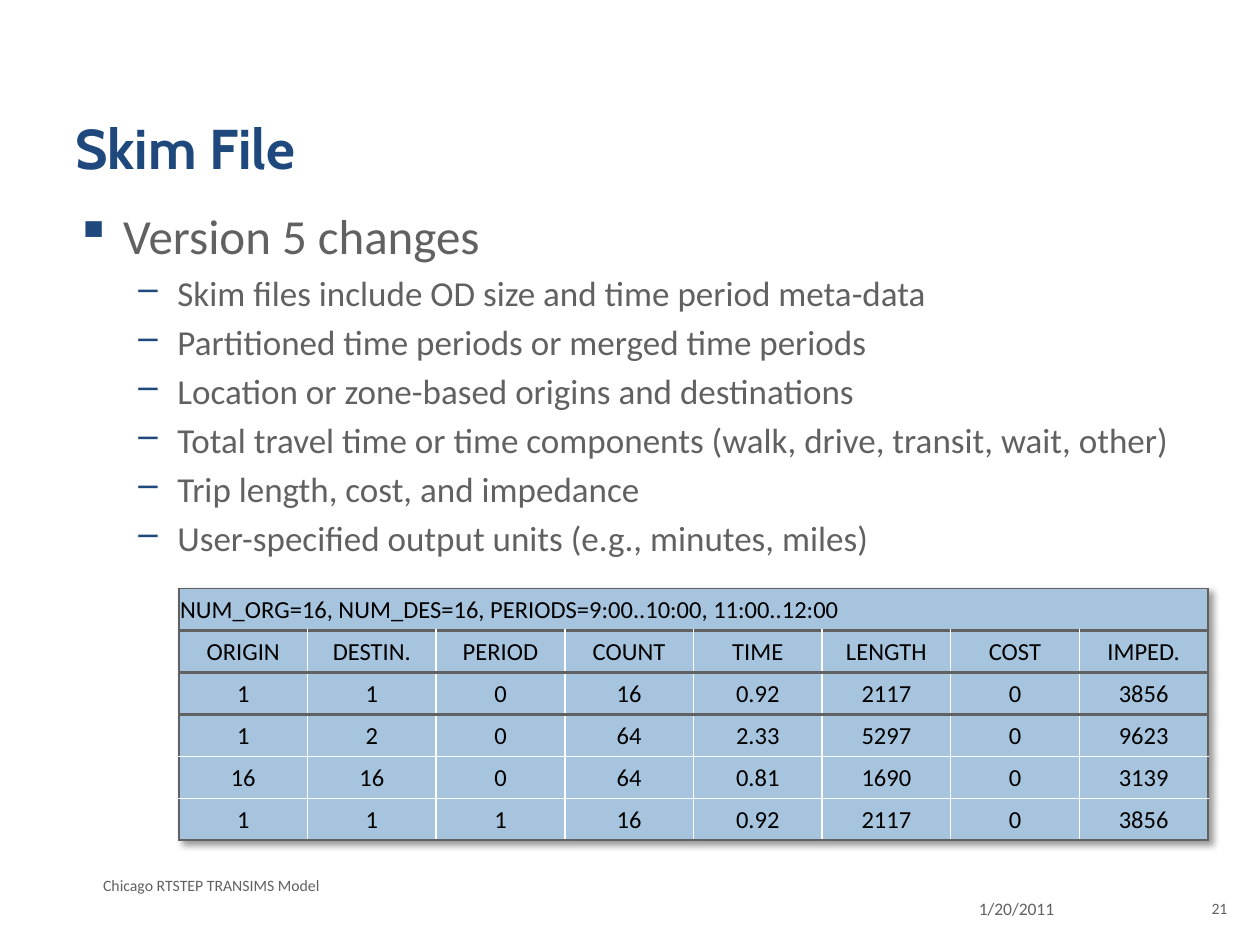
from lxml import etree
from pptx import Presentation
from pptx.dml.color import RGBColor
from pptx.enum.text import MSO_ANCHOR, PP_ALIGN
from pptx.oxml.ns import qn
from pptx.util import Inches, Pt

LEFT, CENTER, RIGHT = PP_ALIGN.LEFT, PP_ALIGN.CENTER, PP_ALIGN.RIGHT
MIDDLE = MSO_ANCHOR.MIDDLE
NAVY, GRAY, BLACK, WHITE, BLUE = "1F497D", "616161", "000000", "FFFFFF", "A6C4DE"

deck = Presentation()
deck.slide_width, deck.slide_height = Inches(10), Inches(7.5)
page = deck.slides.add_slide(deck.slide_layouts[6])


def style(para, size, color, font="Calibri", align=LEFT):
    para.font.name = font
    para.font.size = Pt(size)
    para.font.color.rgb = RGBColor.from_string(color)
    para.alignment = align


def add_box(left, top, width, height):
    box = page.shapes.add_textbox(Inches(left), Inches(top), Inches(width), Inches(height))
    box.text_frame.word_wrap = True
    return box.text_frame


# Title
title = add_box(0.5, 0.3, 9, 1.25)
title.vertical_anchor = MIDDLE
title.margin_top = Inches(0.54)
title.text = "Skim File"
style(title.paragraphs[0], 32, NAVY, "Cabin")
title.paragraphs[0].font.bold = True

# Bulleted body: level, text
points = [
    (0, "Version 5 changes"),
    (1, "Skim files include OD size and time period meta-data"),
    (1, "Partitioned time periods or merged time periods"),
    (1, "Location or zone-based origins and destinations"),
    (1, "Total travel time or time components (walk, drive, transit, wait, other)"),
    (1, "Trip length, cost, and impedance"),
    (1, "User-specified output units (e.g., minutes, miles)"),
]
# Bullet, text size, left margin and hanging indent of each level
levels = [("▪", 28, 0.38, 0.38), ("–", 20, 0.81, 0.31)]
body = add_box(0.5, 1.58, 9, 5.12)
for index, (level, text) in enumerate(points):
    bullet, size, margin, hang = levels[level]
    para = body.add_paragraph() if index else body.paragraphs[0]
    para.text = text
    para.level = level
    if index:
        para.space_before = Pt(size * 0.2)
    props = para._p.get_or_add_pPr()
    props.set("marL", str(Inches(margin)))
    props.set("indent", str(-Inches(hang)))
    bullet_color = etree.SubElement(props, qn("a:buClr"))
    etree.SubElement(bullet_color, qn("a:srgbClr"), val=NAVY)
    etree.SubElement(props, qn("a:buChar"), char=bullet)
    style(para, size, GRAY)

# Footer: place, text, size, alignment
footers = [
    ((7.67, 7.08, 1.5, 0.33), "1/20/2011", 10, LEFT),
    ((0.72, 6.9, 6.5, 0.25), "Chicago RTSTEP TRANSIMS Model", 9, LEFT),
    ((9.42, 7.08, 0.42, 0.32), "21", 9, RIGHT),
]
for place, text, size, align in footers:
    footer = add_box(*place)
    footer.text = text
    style(footer.paragraphs[0], size, GRAY, align=align)

# Skim table
rows = [
    ["NUM_ORG=16, NUM_DES=16, PERIODS=9:00..10:00, 11:00..12:00"] + [""] * 7,
    ["ORIGIN", "DESTIN.", "PERIOD", "COUNT", "TIME", "LENGTH", "COST", "IMPED."],
    ["1", "1", "0", "16", "0.92", "2117", "0", "3856"],
    ["1", "2", "0", "64", "2.33", "5297", "0", "9623"],
    ["16", "16", "0", "64", "0.81", "1690", "0", "3139"],
    ["1", "1", "1", "16", "0.92", "2117", "0", "3856"],
]
frame = page.shapes.add_table(len(rows), len(rows[0]), Inches(1.42), Inches(4.67),
                              Inches(8.17), Inches(2))
table = frame.table
table.first_row = table.horz_banding = False
table.cell(0, 0).merge(table.cell(0, 7))

# Grid lines from top to bottom and from left to right
outer, inner, heavy = (GRAY, 1), (WHITE, 1), (GRAY, 2.25)
across = [outer, heavy, heavy, heavy, inner, inner, outer]
down = [outer] + [inner] * 7 + [outer]
for r, values in enumerate(rows):
    for c, value in enumerate(values):
        cell = table.cell(r, c)
        cell.vertical_anchor = MIDDLE
        cell.margin_left = cell.margin_right = cell.margin_top = Inches(0.01)
        cell.margin_bottom = 0
        if value:
            cell.text = value
        style(cell.text_frame.paragraphs[0], 14, BLACK, align=CENTER if r else LEFT)
        sides = {
            "a:lnL": down[c],
            "a:lnR": down[c + 1] if r else outer,
            "a:lnT": across[r],
            "a:lnB": across[r + 1],
        }
        for tag, (color, width) in sides.items():
            line = etree.SubElement(cell._tc.get_or_add_tcPr(), qn(tag), w=str(Pt(width)))
            fill = etree.SubElement(line, qn("a:solidFill"))
            etree.SubElement(fill, qn("a:srgbClr"), val=color)
        cell.fill.solid()
        cell.fill.fore_color.rgb = RGBColor.from_string(BLUE)

# Table shadow
effects = etree.Element(qn("a:effectLst"))
shadow = etree.SubElement(effects, qn("a:outerShdw"), blurRad=str(Pt(4)),
                          dist=str(Pt(3)), dir="2700000", algn="tl", rotWithShape="0")
shade = etree.SubElement(shadow, qn("a:srgbClr"), val=BLACK)
etree.SubElement(shade, qn("a:alpha"), val="40000")
table._tbl.tblPr.insert(0, effects)

deck.save("out.pptx")
